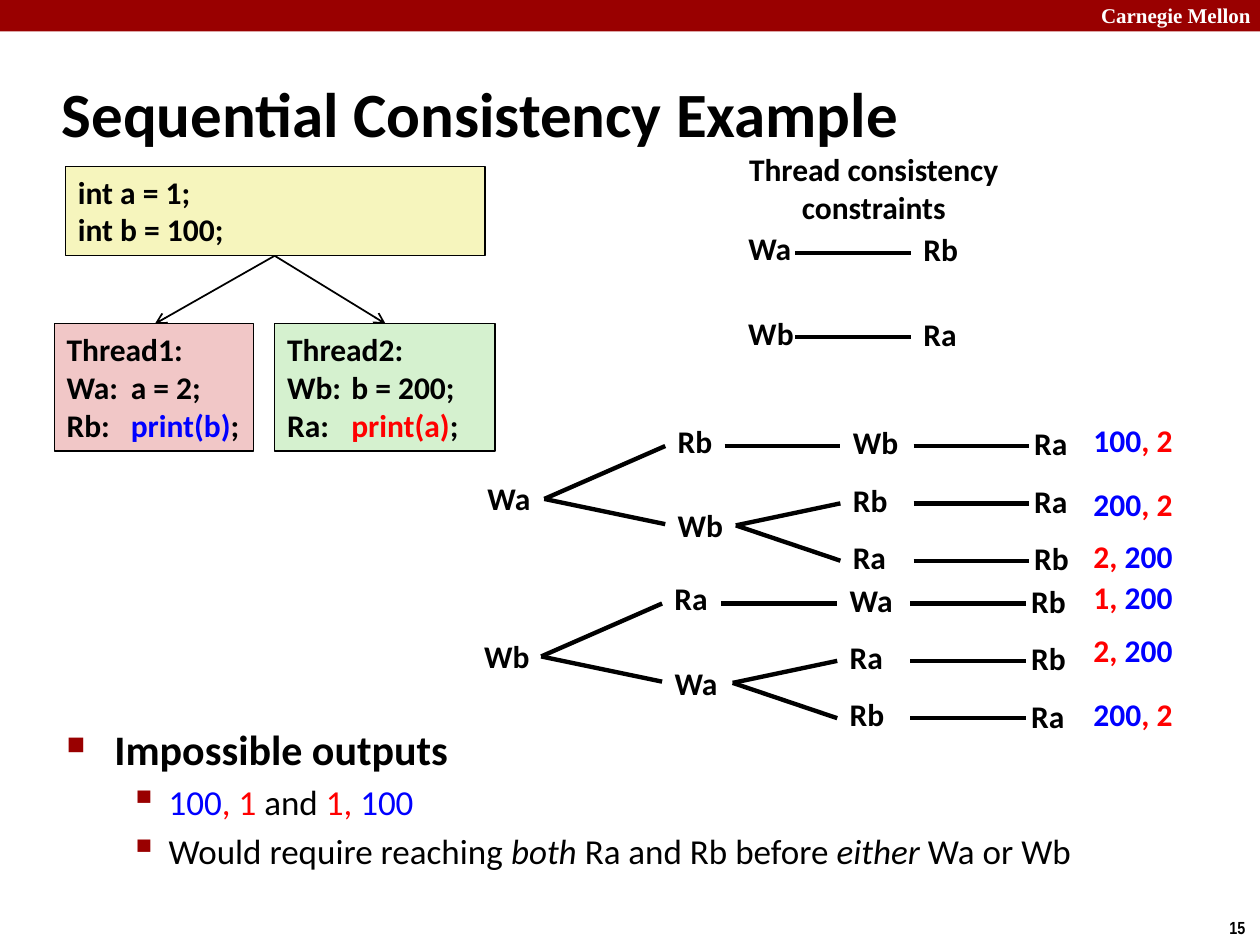
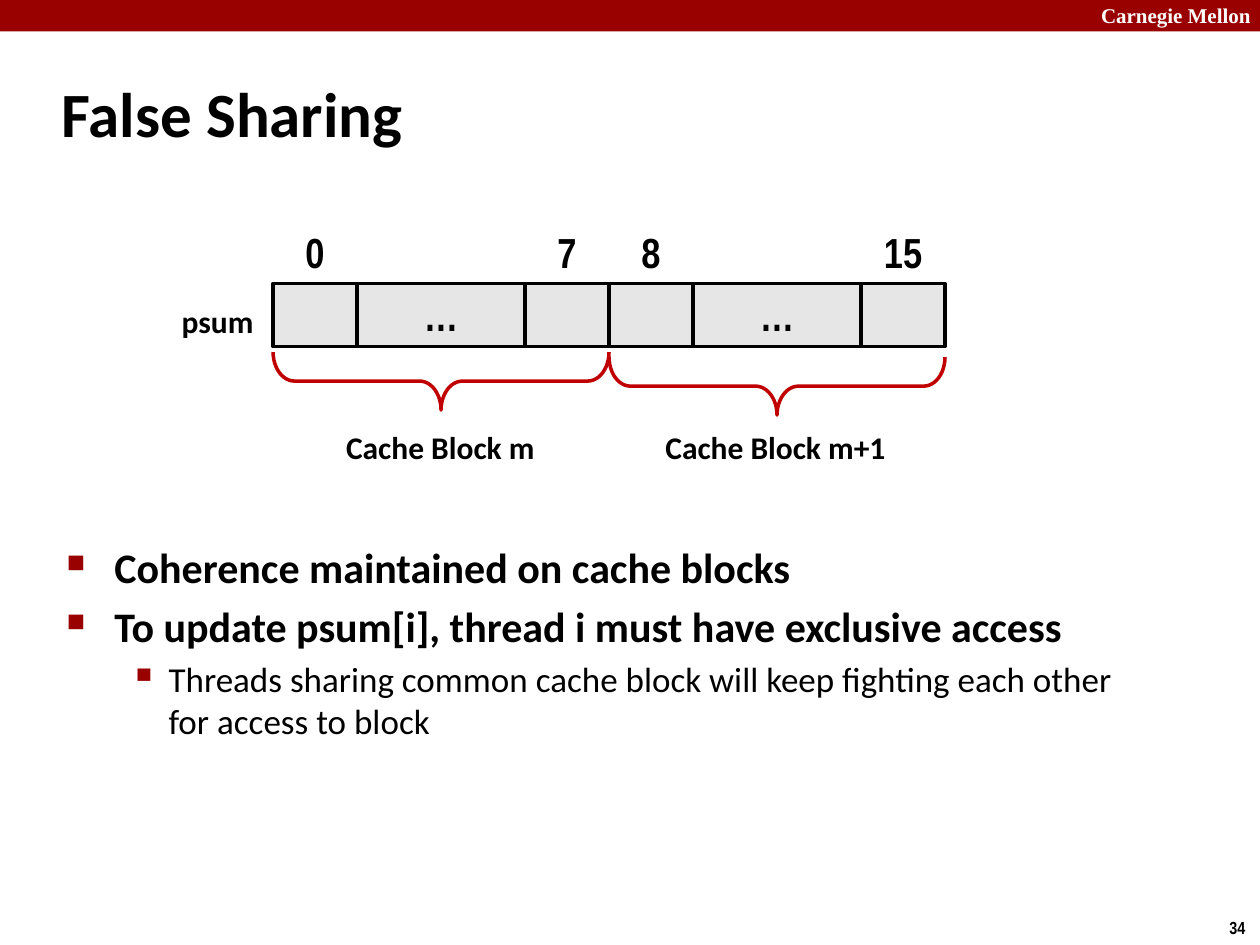
import dataclasses

import pptx
import pptx.dml.color
import pptx.enum.shapes
import pptx.enum.text
import pptx.oxml.ns
import pptx.util
from lxml import etree

SHAPE = pptx.enum.shapes.MSO_SHAPE
ALIGN = pptx.enum.text.PP_ALIGN
ANCHOR = pptx.enum.text.MSO_ANCHOR


@dataclasses.dataclass(frozen=True)
class Theme:
    # Colours
    ink: str = "000000"
    paper: str = "FFFFFF"
    crimson: str = "990000"
    brace: str = "C00000"
    blue: str = "0000FF"
    red: str = "FF0000"
    yellow_box: str = "F6F5BD"
    pink_box: str = "F1C7C7"
    green_box: str = "D5F1CF"
    cell: str = "E6E6E6"
    # Fonts and type sizes
    font: str = "Calibri"
    narrow: str = "Arial Narrow"
    serif: str = "Times New Roman"
    title: int = 36
    index: int = 24
    label: int = 18
    band: int = 12
    number: int = 10
    # Bullet levels: size, bold, indent, hanging, bullet, bullet percent
    levels: tuple = ((24, True, 0.38, 0.38, "■", 60),
                     (20, False, 0.81, 0.31, "▪", 110))


THEME = Theme()


def color(value):
    return pptx.dml.color.RGBColor.from_string(value)


def add_element(parent, tag, **attributes):
    return etree.SubElement(parent, pptx.oxml.ns.qn(tag), attributes)


class Deck:
    """Places elements on a grid of 60 columns by 45 rows."""
    COLUMNS, ROWS = 60, 45

    def __init__(self, theme):
        self.theme = theme
        self.presentation = pptx.Presentation()
        self.presentation.slide_width = pptx.util.Inches(10)
        self.presentation.slide_height = pptx.util.Inches(7.5)
        self.slide = None

    def x(self, columns):
        return round(self.presentation.slide_width * columns / self.COLUMNS)

    def y(self, rows):
        return round(self.presentation.slide_height * rows / self.ROWS)

    def area(self, left, top, width, height):
        return self.x(left), self.y(top), self.x(width), self.y(height)

    # Slide frame
    def new_slide(self, title, number):
        theme = self.theme
        self.slide = self.presentation.slides.add_slide(
            self.presentation.slide_layouts[5])
        self.box((0, 0, 60, 1.5), theme.crimson)
        self.text((51.84, -0.18, 8.58, 1.8), ["Carnegie Mellon"], wrap=True,
                  size=theme.band, font=theme.serif, ink=theme.paper)
        self.text((57.96, 43.38, 2.04, 1.62), [str(number)],
                  size=theme.number, font=theme.narrow)
        heading = self.slide.shapes.title
        heading.left, heading.top, heading.width, heading.height = self.area(
            2.34, 2.88, 49.8, 4.98)
        self.fill_frame(heading.text_frame, [title], size=theme.title,
                        anchor=ANCHOR.MIDDLE, wrap=True)
        properties = heading.text_frame.paragraphs[0]._p.get_or_add_pPr()
        self.indent(properties, 0.13, 0.13)

    # Text
    @staticmethod
    def indent(properties, left, hanging):
        properties.set("marL", str(pptx.util.Inches(left)))
        properties.set("indent", str(-pptx.util.Inches(hanging)))

    def add_runs(self, paragraph, runs, size, font, ink, bold=True):
        """A run is a string, or a (string, colour or "italic") pair."""
        for item in [runs] if isinstance(runs, str) else runs:
            words, style = (item, None) if isinstance(item, str) else item
            run = paragraph.add_run()
            run.text = words
            run.font.name, run.font.size = font, pptx.util.Pt(size)
            run.font.bold, run.font.italic = bold, style == "italic"
            run.font.color.rgb = color(
                ink if style in (None, "italic") else style)

    def fill_frame(self, frame, lines, size=None, font=None, ink=None,
                   align=ALIGN.LEFT, anchor=ANCHOR.TOP, wrap=False, tab=None):
        frame.word_wrap = wrap
        frame.auto_size = pptx.enum.text.MSO_AUTO_SIZE.NONE
        frame.vertical_anchor = anchor
        for position, runs in enumerate(lines):
            paragraph = frame.add_paragraph() if position else frame.paragraphs[0]
            if tab:
                tabs = add_element(paragraph._p.get_or_add_pPr(), "a:tabLst")
                add_element(tabs, "a:tab", pos=str(pptx.util.Inches(tab)), algn="l")
            paragraph.alignment = align
            self.add_runs(paragraph, runs, size or self.theme.label,
                          font or self.theme.font, ink or self.theme.ink)

    def text(self, area, lines, **style):
        shape = self.slide.shapes.add_textbox(*self.area(*area))
        self.fill_frame(shape.text_frame, lines, **style)

    def bullets(self, area, items):
        frame = self.slide.shapes.add_textbox(*self.area(*area)).text_frame
        frame.word_wrap = True
        for position, (level, runs) in enumerate(items):
            size, bold, left, hanging, mark, percent = self.theme.levels[level]
            paragraph = frame.add_paragraph() if position else frame.paragraphs[0]
            properties = paragraph._p.get_or_add_pPr()
            self.indent(properties, left, hanging)
            bullet_color = add_element(properties, "a:buClr")
            add_element(bullet_color, "a:srgbClr", val=self.theme.crimson)
            add_element(properties, "a:buSzPct", val=str(percent * 1000))
            add_element(properties, "a:buChar", char=mark)
            paragraph.level = level
            if position:
                paragraph.space_before = pptx.util.Pt(0.2 * size)
            self.add_runs(paragraph, runs, size, self.theme.font,
                          self.theme.ink, bold)

    # Shapes and lines
    def box(self, area, fill, outline=None, lines=(), kind=SHAPE.RECTANGLE,
            border=None, **style):
        shape = self.slide.shapes.add_shape(kind, *self.area(*area))
        shape.shadow.inherit = False
        if fill:
            shape.fill.solid()
            shape.fill.fore_color.rgb = color(fill)
        else:
            shape.fill.background()
        if outline:
            shape.line.width = pptx.util.Pt(outline)
            shape.line.color.rgb = color(border or self.theme.ink)
        else:
            shape.line.fill.background()
        if lines:
            self.fill_frame(shape.text_frame, lines, **style)
        return shape

    def brace(self, center_x, center_y, span, depth):
        area = (center_x - depth / 2, center_y - span / 2, depth, span)
        shape = self.box(area, None, 2, kind=SHAPE.RIGHT_BRACE,
                         border=self.theme.brace)
        shape.rotation = 90
        shape.adjustments[0] = 0.37

    def line(self, start, end, width=2.5, arrow=False):
        connector = self.slide.shapes.add_connector(
            pptx.enum.shapes.MSO_CONNECTOR.STRAIGHT,
            self.x(start[0]), self.y(start[1]), self.x(end[0]), self.y(end[1]))
        connector.line.width = pptx.util.Pt(width)
        connector.line.color.rgb = color(self.theme.ink)
        properties = connector._element.spPr
        if arrow:
            outline = properties.find(pptx.oxml.ns.qn("a:ln"))
            add_element(outline, "a:tailEnd", type="arrow")
        add_element(properties, "a:effectLst")


EVENT_WIDTHS = {"Wa": 3.3, "Wb": 3.42, "Ra": 2.82, "Rb": 2.88}


def add_event(deck, name, left, top):
    deck.text((left, top, EVENT_WIDTHS[name], 2.4), [name])


def add_interleavings(deck, left, top, root, children, paths):
    """Draws one tree: two children, the second of which forks again."""
    row = 2.73
    child, middle, leaf = left + 9.06, left + 17.4, left + 26.04
    root_tip, fork_tip = left + 3.3, left + 12.42
    first_line = top + 1.44
    add_event(deck, root, left, top + row)
    for name, drop, line_drop in zip(children, (0, 4.02), (0, 3.72)):
        add_event(deck, name, child, top + drop)
        deck.line((root_tip, top + 3.96), (child, first_line + line_drop))
    for index, (second, last) in enumerate(paths):
        level = first_line + index * row
        add_event(deck, second, middle, top + 0.06 + index * row)
        add_event(deck, last, leaf, top + 0.12 + index * row)
        start = (fork_tip, top + 5.22) if index else (left + 11.88, level)
        deck.line(start, (middle, level))
        deck.line((left + 20.88, level), (left + 26.4, level))


def sequential_consistency(deck):
    theme = deck.theme
    blue, red = theme.blue, theme.red
    deck.new_slide("Sequential Consistency Example", 15)

    # Impossible outputs
    deck.bullets((2.58, 34.14, 51.84, 5.04), [
        (0, "Impossible outputs"),
        (1, [("100", blue), (", 1 ", red), "and ", ("1, ", red), ("100", blue)]),
        (1, ["Would require reaching ", ("both", "italic"),
             " Ra and Rb before ", ("either ", "italic"), "Wa or Wb"]),
    ])

    # Possible interleavings and what each one prints
    add_interleavings(deck, 22.62, 19.8, "Wa", ("Rb", "Wb"),
                      (("Wb", "Ra"), ("Rb", "Ra"), ("Ra", "Rb")))
    add_interleavings(deck, 22.47, 27.3, "Wb", ("Ra", "Wa"),
                      (("Wa", "Rb"), ("Ra", "Rb"), ("Rb", "Ra")))
    outputs = (
        (19.74, ("100", blue), (", 2", red)),
        (22.8, ("200", blue), (", 2", red)),
        (25.26, ("2, ", red), ("200", blue)),
        (27.24, ("1, ", red), ("200", blue)),
        (29.76, ("2, ", red), ("200", blue)),
        (32.82, ("200", blue), (", 2", red)),
    )
    for top, *runs in outputs:
        deck.text((51.48, top, 5.04, 2.4), [runs])

    # Thread consistency constraints
    deck.text((35.04, 6.84, 13.14, 4.26),
              ["Thread consistency", "constraints"], align=ALIGN.CENTER)
    for top, before, after in ((10.62, "Wa", "Rb"), (14.64, "Wb", "Ra")):
        add_event(deck, before, 35.04, top)
        add_event(deck, after, 43.38, top + 0.06)
        deck.line((37.86, top + 1.42), (43.38, top + 1.42))

    # Shared variables and the two threads
    deck.box((3.12, 7.92, 19.98, 4.26), theme.yellow_box, 0.75,
             ["int a = 1;", "int b = 100;"], wrap=True)
    threads = (
        (2.58, 9.48, 7.38, theme.pink_box,
         ["Thread1:", "Wa:\ta = 2;", ["Rb: \t", ("print(b)", blue), ";"]]),
        (13.08, 10.5, 18.36, theme.green_box,
         ["Thread2:", "Wb:\tb = 200;", ["Ra:\t", ("print(a)", red), ";"]]),
    )
    for left, width, arrow_x, fill, code in threads:
        deck.box((left, 15.42, width, 6.06), fill, 0.75, code, wrap=True, tab=0.51)
        deck.line((13.08, 12.18), (arrow_x, 15.42), width=1, arrow=True)


def false_sharing(deck):
    theme = deck.theme
    deck.new_slide("False Sharing", 34)
    deck.bullets((2.58, 25.5, 51.84, 16.08), [
        (0, "Coherence maintained on cache blocks"),
        (0, "To update psum[i], thread i must have exclusive access"),
        (1, "Threads sharing common cache block will keep fighting each "
            "other for access to block"),
    ])

    # The array, one cache block after the other
    centered = dict(size=theme.index, font=theme.narrow,
                    align=ALIGN.CENTER, anchor=ANCHOR.MIDDLE)
    array_left, unit = 13, 4
    block_span = 4 * unit
    blocks = (("0", "7", 18.15, "Cache Block m", 15.84, 10.26),
              ("8", "15", 18.39, "Cache Block m+1", 31.02, 11.82))
    for index, (first, last, brace_y, name, name_left, name_width) in enumerate(blocks):
        left = array_left + index * block_span
        for offset, width, content in ((0, 1, []), (1, 2, ["…"]), (3, 1, [])):
            deck.box((left + offset * unit, 13.5, width * unit, 3),
                     theme.cell, 2, content, **centered)
        for offset, label in ((0, first), (3, last)):
            deck.text((left + offset * unit, 10.5, unit, 3), [label], **centered)
        deck.brace(left + block_span / 2, brace_y, block_span, 2.76)
        deck.text((name_left, 20.1, name_width, 2.4), [name], align=ALIGN.CENTER)
    deck.text((7.98, 14.1, 4.68, 2.4), ["psum"], align=ALIGN.RIGHT)


def main():
    deck = Deck(THEME)
    sequential_consistency(deck)
    false_sharing(deck)
    deck.presentation.save("out.pptx")


if __name__ == "__main__":
    main()
